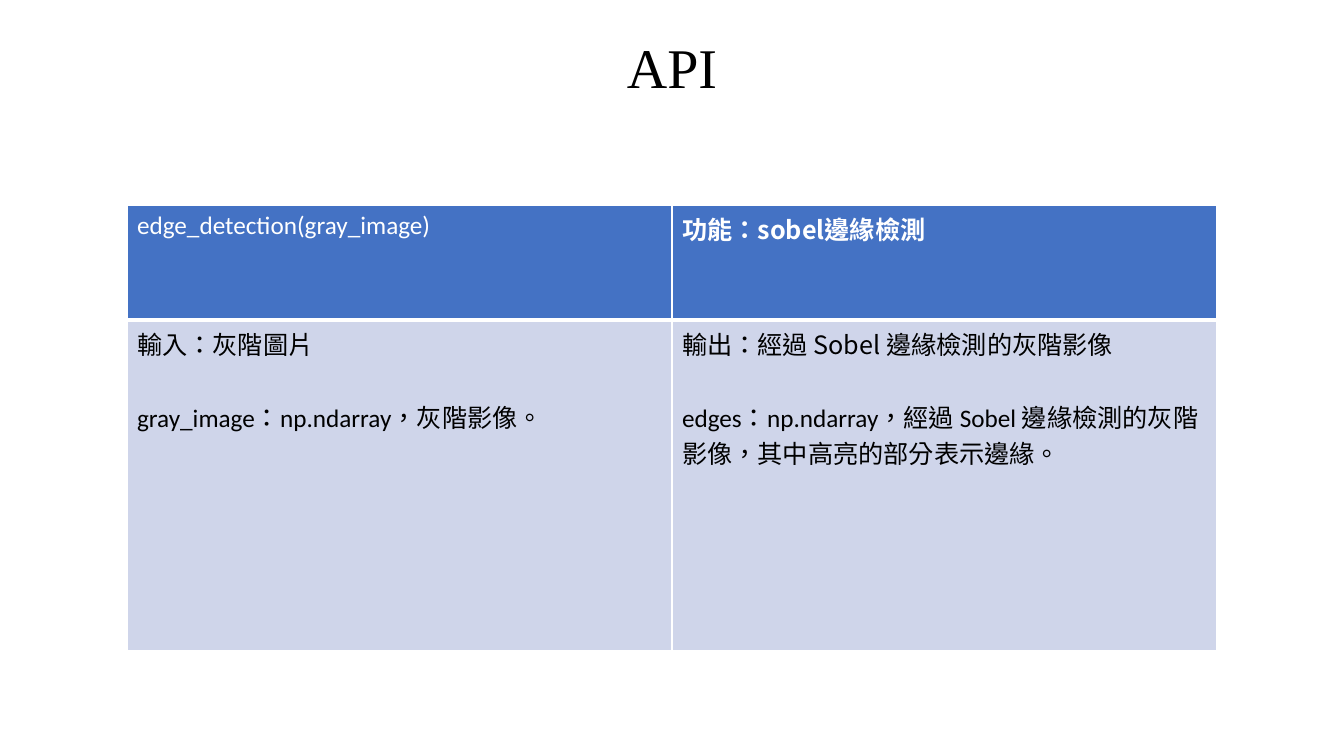
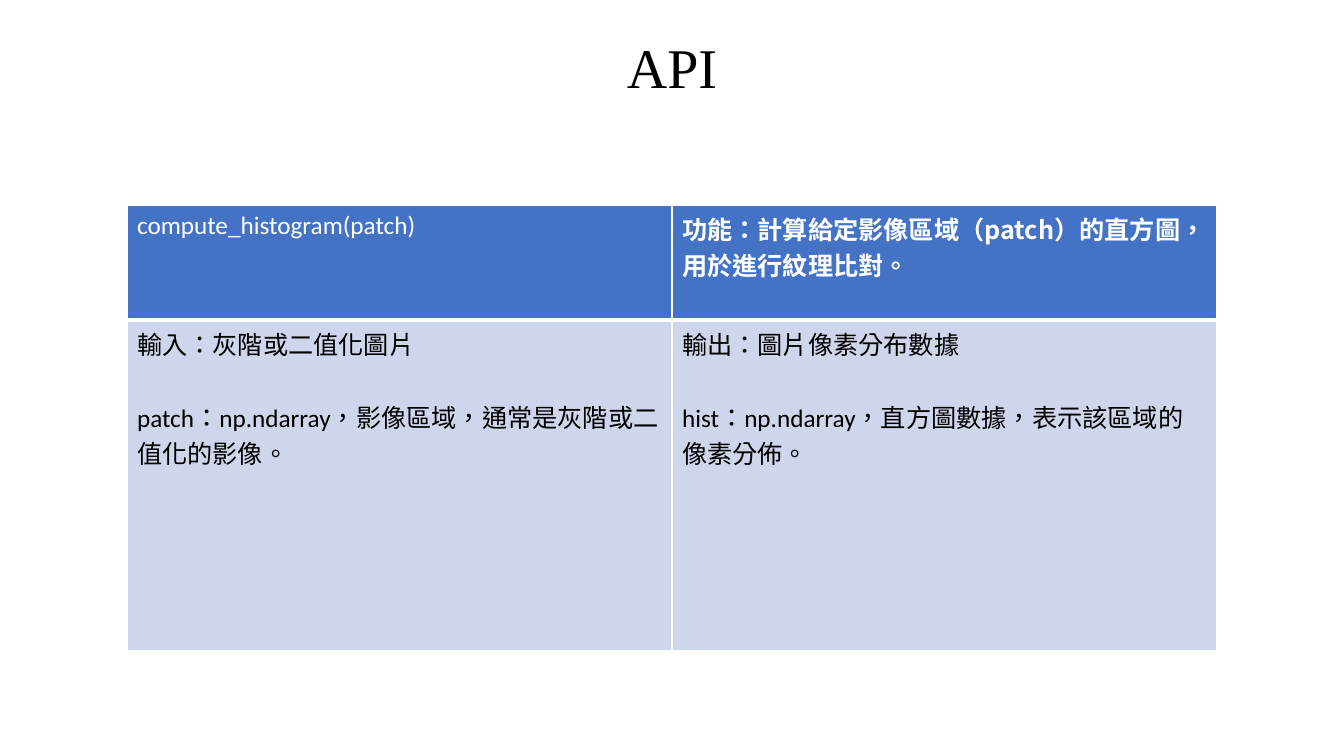
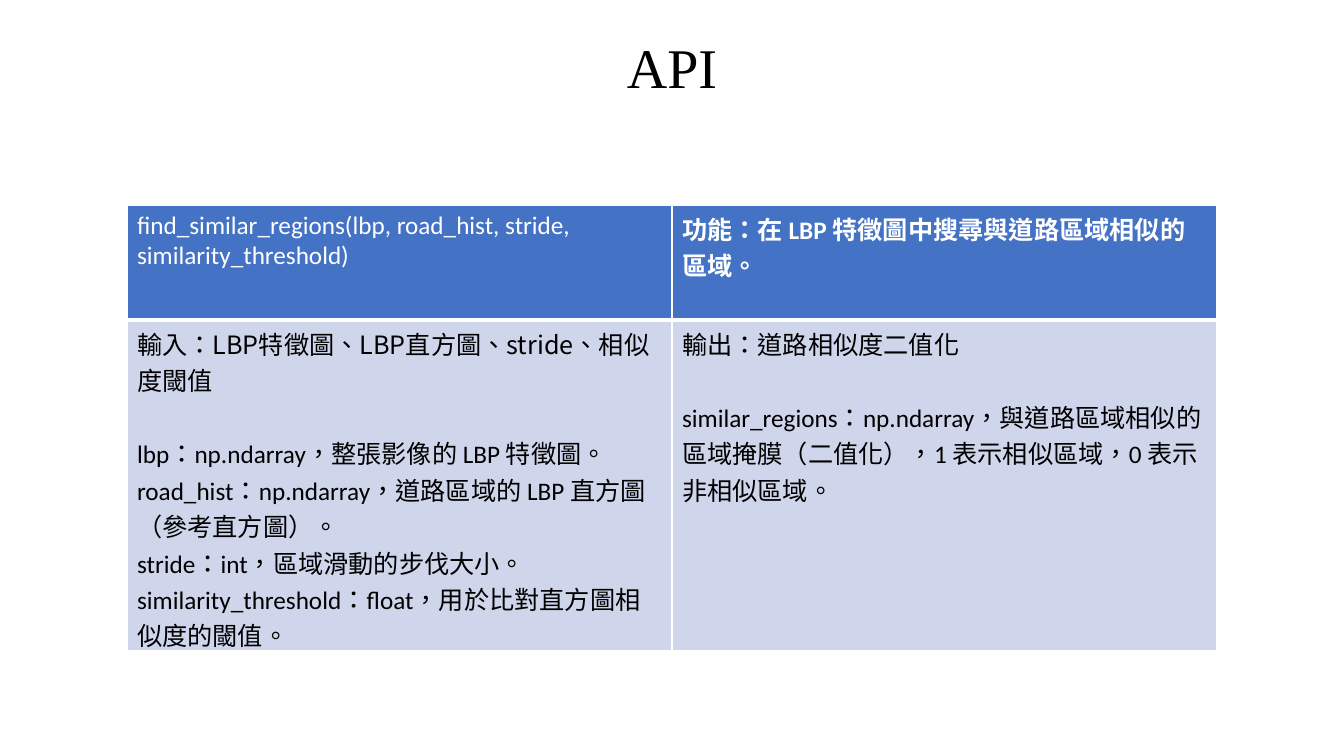
from lxml.etree import SubElement
from pptx import Presentation
from pptx.dml.color import RGBColor
from pptx.enum.text import MSO_ANCHOR, MSO_AUTO_SIZE, PP_ALIGN
from pptx.oxml.ns import qn
from pptx.util import Pt

SCALE = 914400 / 100.8
HUES = {"head": "4472C4", "body": "CFD5EA", "edge": "FFFFFF",
        "light": "FFFFFF", "dark": "000000"}
LATIN, HAN, SERIF = "Calibri", "Noto Sans CJK SC", "Times New Roman"
TITLE = (211, 27, 922, 78)
TABLE = (127, 205, 1090, 446)
HEAD = 115
GAP = 26

PAGES = [
    {
        "call": "edge_detection(gray_image)",
        "use": [("功能：sobel邊緣檢測", HAN)],
        "input": ["輸入：灰階圖片", "gray_image：np.ndarray，灰階影像。"],
        "output": ["輸出：經過 Sobel 邊緣檢測的灰階影像",
                   "edges：np.ndarray，經過 Sobel 邊緣檢測的灰階影像，其中高亮的部分表示邊緣。"],
    },
    {
        "call": "compute_histogram(patch)",
        "use": [("功能：計算給定影像區域（patch）的直方圖，用於進行紋理比對。", HAN)],
        "input": ["輸入：灰階或二值化圖片",
                  "patch：np.ndarray，影像區域，通常是灰階或二值化的影像。"],
        "output": ["輸出：圖片像素分布數據",
                   "hist：np.ndarray，直方圖數據，表示該區域的像素分佈。"],
    },
    {
        "call": "find_similar_regions(lbp, road_hist, stride, similarity_threshold)",
        "use": [("功能：", HAN), ("在 LBP 特徵圖中搜尋與道路區域相似的區域。", LATIN)],
        "input": ["輸入：LBP特徵圖、LBP直方圖、stride、相似度閾值",
                  "lbp：np.ndarray，整張影像的 LBP 特徵圖。road_hist：np.ndarray，道路區域的 LBP 直方圖（參考直方圖）。",
                  "stride：int，區域滑動的步伐大小。similarity_threshold：float，用於比對直方圖相似度的閾值。"],
        "output": ["輸出：道路相似度二值化",
                   "similar_regions：np.ndarray，與道路區域相似的區域掩膜（二值化），1 表示相似區域，0 表示非相似區域。"],
    },
]


def px(size):
    return round(size * SCALE)


def write(para, text, font=LATIN, size=18, hue="dark", bold=False):
    run = para.add_run()
    run.text = text
    run.font.name = font
    run.font.size = Pt(size)
    run.font.bold = bold
    run.font.color.rgb = RGBColor.from_string(HUES[hue])
    props = run._r.get_or_add_rPr()
    props.set("lang", "zh-TW")
    props.set("altLang", "en-US")
    SubElement(props, qn("a:ea")).set("typeface", HAN)


def paint(cell, hue, top, base):
    props = cell._tc.get_or_add_tcPr()
    for side, width in zip("LRTB", (1, 1, top, base)):
        line = SubElement(props, qn(f"a:ln{side}"), w=str(Pt(width)))
        fill = SubElement(line, qn("a:solidFill"))
        SubElement(fill, qn("a:srgbClr"), val=HUES["edge"])
    cell.fill.solid()
    cell.fill.fore_color.rgb = RGBColor.from_string(HUES[hue])


def add_title(slide, box, text):
    title = slide.shapes.title
    title.left, title.top, title.width, title.height = map(px, box)
    frame = title.text_frame
    frame.word_wrap = True
    frame.auto_size = MSO_AUTO_SIZE.SHAPE_TO_FIT_TEXT
    frame.vertical_anchor = MSO_ANCHOR.TOP
    para = frame.paragraphs[0]
    para.alignment = PP_ALIGN.CENTER
    write(para, text, font=SERIF, size=40)


def fill_body(cell, lines):
    frame = cell.text_frame
    for num, text in enumerate(lines):
        para = frame.add_paragraph() if num else frame.paragraphs[0]
        if num == 1:
            para.space_before = Pt(GAP)
        write(para, text, font=LATIN if num else HAN)


def add_grid(slide, box, page):
    left, top, width, height = box
    grid = slide.shapes.add_table(2, 2, *map(px, box)).table
    grid.first_row = grid.horz_banding = False
    for col in grid.columns:
        col.width = px(width // 2)
    for row, tall in zip(grid.rows, (HEAD, height - HEAD)):
        row.height = px(tall)
    for col in range(2):
        paint(grid.cell(0, col), "head", 1, 3)
        paint(grid.cell(1, col), "body", 3, 1)
    write(grid.cell(0, 0).text_frame.paragraphs[0], page["call"], hue="light")
    for text, font in page["use"]:
        write(grid.cell(0, 1).text_frame.paragraphs[0], text,
              font=font, hue="light", bold=True)
    fill_body(grid.cell(1, 0), page["input"])
    fill_body(grid.cell(1, 1), page["output"])


def main():
    deck = Presentation()
    deck.slide_width, deck.slide_height = px(1344), px(756)
    for page in PAGES:
        slide = deck.slides.add_slide(deck.slide_layouts[5])
        add_title(slide, TITLE, "API")
        add_grid(slide, TABLE, page)
    deck.save("out.pptx")


if __name__ == "__main__":
    main()
